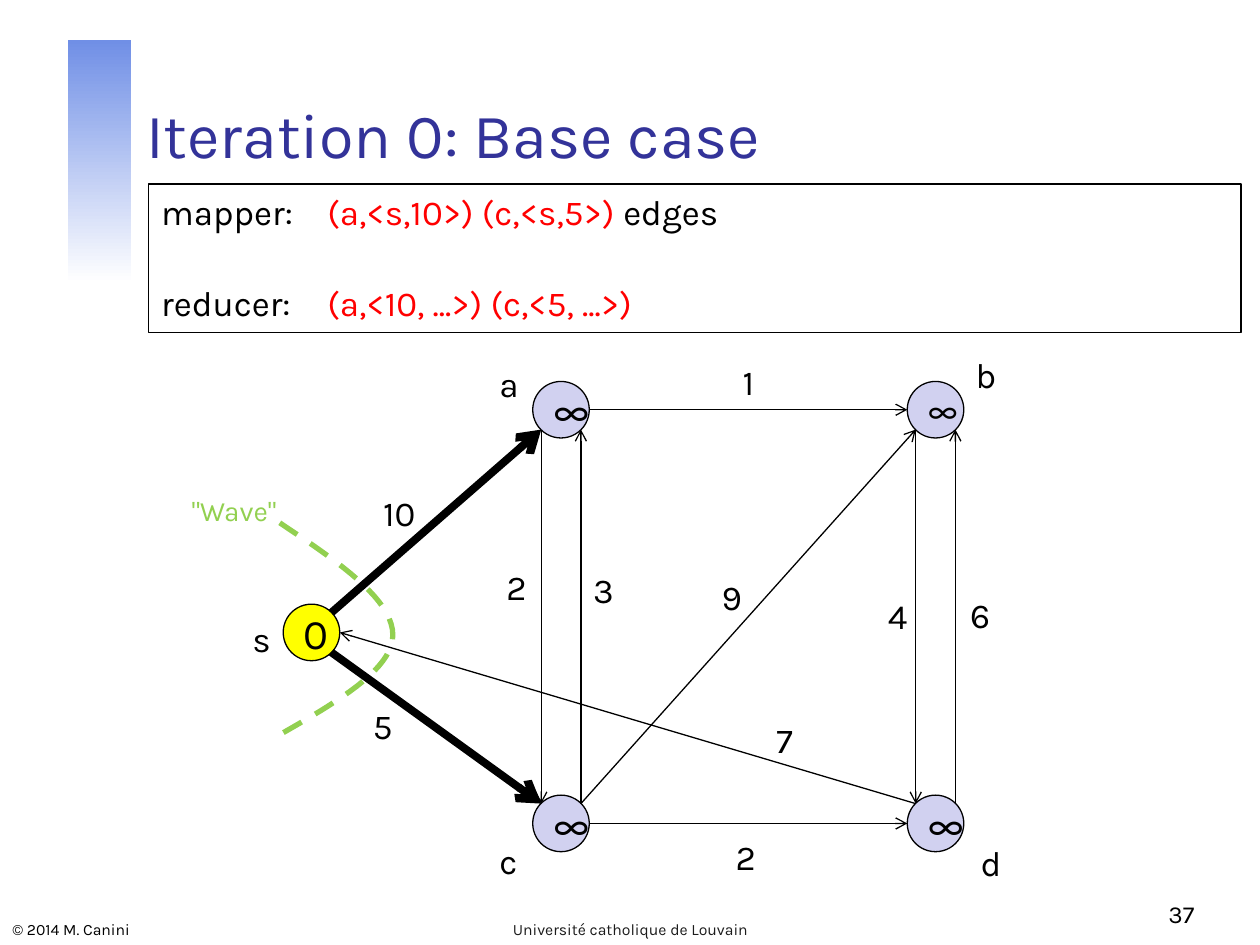
from dataclasses import dataclass
from lxml import etree
from pptx import Presentation
from pptx import util as u
from pptx.dml.color import RGBColor
from pptx.enum import dml, shapes, text
from pptx.oxml.ns import qn

HUE = dict(ink="000000", title="333399", band="708FE6", white="FFFFFF", red="FF0000",
           wave="92D050", start="FFFF00", node="D1D1F0", foot="1C1C1C")
LEFT, MID, RIGHT = text.PP_ALIGN.LEFT, text.PP_ALIGN.CENTER, text.PP_ALIGN.RIGHT
TOP, BASE = text.MSO_ANCHOR.TOP, text.MSO_ANCHOR.BOTTOM
RADIUS, DIAG = 0.57, 0.4
PORTS = dict(E=(RADIUS, 0), W=(-RADIUS, 0), NE=(DIAG, -DIAG), SE=(DIAG, DIAG),
             NW=(-DIAG, -DIAG), SW=(-DIAG, DIAG))


@dataclass
class Node:
    x: float
    y: float
    mark: str = "∞"
    size: int = 24
    font: str = "Calibri"
    fill: str = "node"


@dataclass
class Edge:
    start: str
    out: str
    end: str
    into: str
    width: float = 0.75


@dataclass
class Label:
    text: str
    x: float
    top: float
    wide: float = 0.86
    high: float = 1.12
    size: int = 20
    hue: str = "ink"


NODES = {
    "s": Node(6.28, 12.75, "0", font="Karla", fill="start"),
    "a": Node(11.31, 8.26),
    "c": Node(11.31, 16.6),
    "b": Node(18.86, 8.26, size=20),
    "d": Node(18.86, 16.6),
}
EDGES = [
    Edge("s", "NE", "a", "SW", 4.5), Edge("s", "SE", "c", "NW", 4.5),
    Edge("a", "E", "b", "W"), Edge("c", "E", "d", "W"),
    Edge("c", "NE", "b", "SW"), Edge("d", "NW", "s", "E"),
    Edge("c", "NE", "a", "SE"), Edge("a", "SW", "c", "NW"),
    Edge("d", "NE", "b", "SE"), Edge("b", "SW", "d", "NW"),
]
LABELS = [
    Label('"Wave"', 4.72, 9.83, 2.34, 0.94, 16, "wave"),
    Label("s", 5.27, 12.32, high=1.27), Label("a", 10.25, 7.19, high=1.27),
    Label("b", 19.85, 7.01, high=1.27), Label("c", 10.25, 16.79, high=1.27),
    Label("d", 19.95, 16.84, high=1.27),
    Label("10", 8.05, 9.78, 1.22), Label("5", 7.7, 14.07), Label("2", 10.39, 11.28),
    Label("3", 12.14, 11.33), Label("1", 15.09, 7.14), Label("9", 14.73, 11.48),
    Label("7", 15.82, 14.35), Label("2", 15.01, 16.71), Label("4", 18.08, 11.86),
    Label("6", 19.74, 11.84),
]


def rgb(hue: str) -> RGBColor:
    return RGBColor.from_string(HUE[hue])


def apply(obj, **vals) -> None:
    for key, val in vals.items():
        setattr(obj, key, val)


def write(para, words: str, size: float, hue: str = "ink", font: str = "Karla") -> None:
    run = para.add_run()
    run.text = words
    apply(run.font, size=u.Pt(size), name=font)
    run.font.color.rgb = rgb(hue)


def stroke(line, width: float, hue: str = "ink") -> None:
    line.color.rgb = rgb(hue)
    line.width = u.Pt(width)


def add_text(box: tuple, words: str, size: float, hue: str = "ink", align=LEFT,
             anchor=BASE, wrap: bool = True, before: float = 0) -> None:
    frame = slide.shapes.add_textbox(*map(u.Cm, box)).text_frame
    apply(frame, word_wrap=wrap, vertical_anchor=anchor)
    para = frame.paragraphs[0]
    apply(para, alignment=align, space_before=u.Pt(before))
    write(para, words, size, hue)


def add_shape(kind, box: tuple):
    shape = slide.shapes.add_shape(kind, *map(u.Cm, box))
    shape.shadow.inherit = False
    return shape


def add_node(node: Node) -> None:
    side = 2 * RADIUS
    disc = add_shape(shapes.MSO_SHAPE.OVAL, (node.x - RADIUS, node.y - RADIUS, side, side))
    disc.fill.solid()
    disc.fill.fore_color.rgb = rgb(node.fill)
    stroke(disc.line, 0.75)
    para = disc.text_frame.paragraphs[0]
    para.alignment = MID
    write(para, node.mark, node.size, font=node.font)


def add_edge(edge: Edge) -> None:
    ends = []
    for name, port in ((edge.start, edge.out), (edge.end, edge.into)):
        dx, dy = PORTS[port]
        ends += [u.Cm(NODES[name].x + dx), u.Cm(NODES[name].y + dy)]
    link = slide.shapes.add_connector(shapes.MSO_CONNECTOR.STRAIGHT, *ends)
    stroke(link.line, edge.width)
    etree.SubElement(link.line._get_or_add_ln(), qn("a:tailEnd"), type="arrow")
    etree.SubElement(link._element.spPr, qn("a:effectLst"))


def bezier(pts: list, steps: int = 20) -> list:
    curve = []
    for i in range(1, steps + 1):
        t = i / steps
        mix = ((1 - t) ** 3, 3 * t * (1 - t) ** 2, 3 * t * t * (1 - t), t ** 3)
        curve.append(tuple(u.Cm(sum(m * p[k] for m, p in zip(mix, pts))) for k in (0, 1)))
    return curve


deck = Presentation()
apply(deck, slide_width=u.Cm(25.4), slide_height=u.Cm(19.05))
slide = deck.slides.add_slide(deck.slide_layouts[5])

# Side band
band = add_shape(shapes.MSO_SHAPE.RECTANGLE, (1.37, 0.81, 1.27, 4.9))
band.fill.gradient()
band.fill.gradient_angle = 270
for stop, hue in zip(band.fill.gradient_stops, ("band", "white")):
    stop.color.rgb = rgb(hue)
band.line.fill.background()

# Title
title = slide.shapes.title
apply(title, left=u.Cm(2.69), top=u.Cm(0.84), width=u.Cm(21.64), height=u.Cm(2.74))
apply(title.text_frame, vertical_anchor=BASE, auto_size=text.MSO_AUTO_SIZE.NONE)
head = title.text_frame.paragraphs[0]
head.alignment = LEFT
write(head, "Iteration 0: Base case", 36, "title")

# Mapper and reducer box
panel = add_shape(shapes.MSO_SHAPE.RECTANGLE, (3, 3.71, 22.02, 3))
panel.fill.background()
stroke(panel.line, 0.75)
frame = panel.text_frame
frame.vertical_anchor = TOP
rows = [
    (2, [("mapper:\t", "ink"), ("(a,<s,10>) (c,<s,5>)", "red"), (" edges", "ink")]),
    (28, [("reducer:\t", "ink"), ("(a,<10, ...>) (c,<5, ...>)", "red")]),
]
for i, (gap, parts) in enumerate(rows):
    para = frame.add_paragraph() if i else frame.paragraphs[0]
    apply(para, alignment=LEFT, space_before=u.Pt(gap))
    tabs = etree.SubElement(para._p.get_or_add_pPr(), qn("a:tabLst"))
    etree.SubElement(tabs, qn("a:tab"), pos=str(u.Cm(3.35)), algn="l")
    for words, hue in parts:
        write(para, words, 20, hue)

# Wave front
curves = [
    [(5.64, 10.54), (6.78, 11.3), (7.92, 12.07), (7.92, 12.8)],
    [(7.92, 12.8), (7.92, 13.51), (6.76, 14.17), (5.61, 14.83)],
]
pen = slide.shapes.build_freeform(*map(u.Cm, curves[0][0]))
for curve in curves:
    pen.add_line_segments(bezier(curve), close=False)
wave = pen.convert_to_shape()
wave.shadow.inherit = False
wave.fill.background()
stroke(wave.line, 3, "wave")
wave.line.dash_style = dml.MSO_LINE.DASH

# Graph
for node in NODES.values():
    add_node(node)
for edge in EDGES:
    add_edge(edge)
for tag in LABELS:
    add_text((tag.x - tag.wide / 2, tag.top, tag.wide, tag.high), tag.text, tag.size,
             tag.hue, MID, TOP, False, 2)

# Footer
add_text((0, 18.34, 7.67, 0.71), "© 2014 M. Canini", 9)
add_text((8.69, 18.34, 8.03, 0.71), "Université catholique de Louvain", 9, "foot", MID)
add_text((19.05, 17.58, 5.28, 1.27), "37", 14, align=RIGHT)

deck.save("out.pptx")
